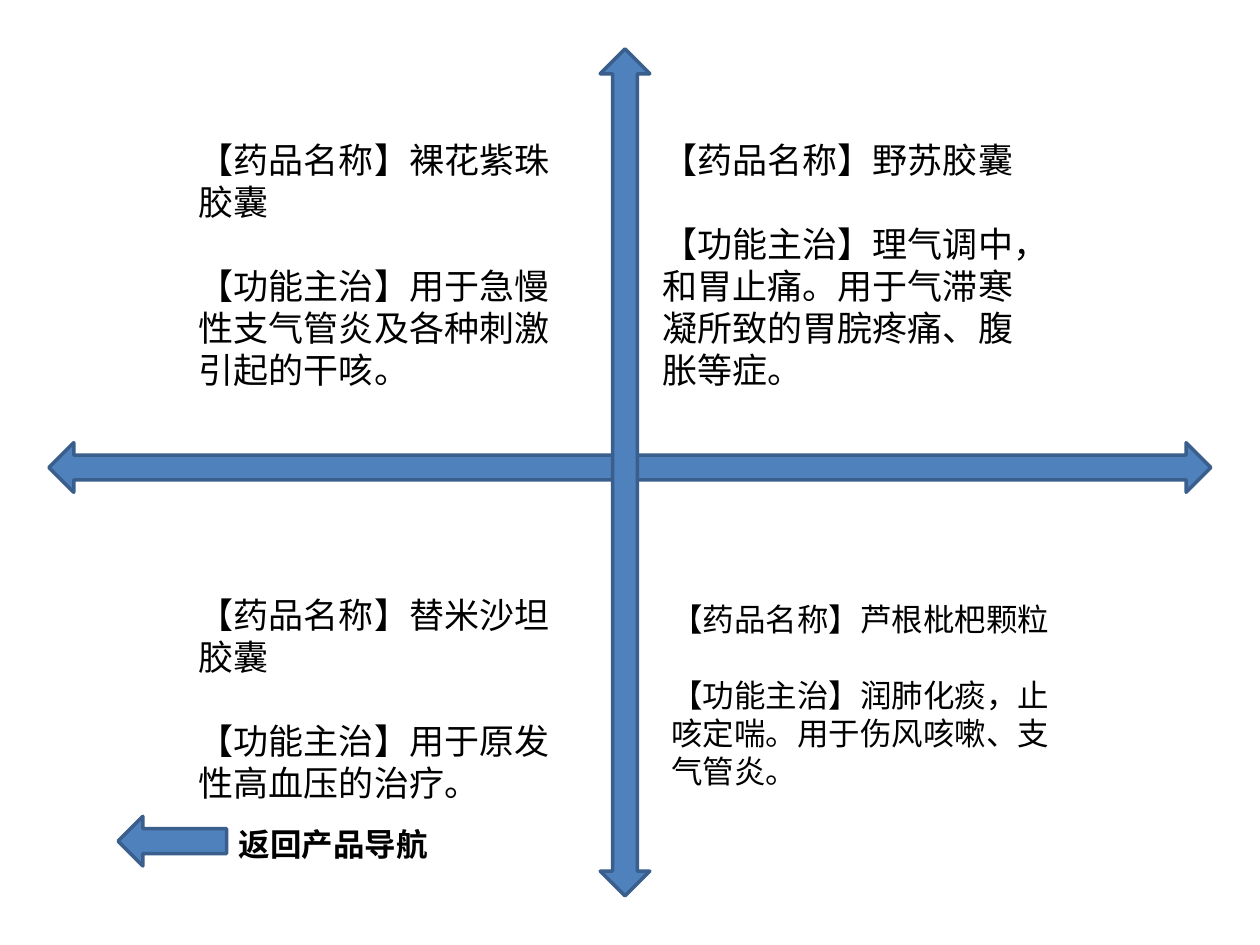
from lxml import etree
from pptx import Presentation
from pptx.dml.color import RGBColor as Rgb
from pptx.enum.shapes import MSO_SHAPE as Shape
from pptx.oxml.ns import qn
from pptx.util import Pt

COLORS = {"fill": "4F81BD", "line": "3A5F8C", "text": "000000"}
FONT = "Noto Sans CJK SC"
THICKNESS = 28.35


def add_arrow(slide, kind, left, top, width, height):
    """Add a filled and outlined block arrow."""
    arrow = slide.shapes.add_shape(kind, Pt(left), Pt(top), Pt(width), Pt(height))
    arrow.shadow.inherit = False
    arrow.fill.solid()
    arrow.fill.fore_color.rgb = Rgb.from_string(COLORS["fill"])
    arrow.line.color.rgb = Rgb.from_string(COLORS["line"])
    arrow.line.width = Pt(2)


def add_text(slide, lines, left, top, width, height, *, size=20, bold=False):
    """Add a wrapped text box with one line of space between its paragraphs."""
    box = slide.shapes.add_textbox(Pt(left), Pt(top), Pt(width), Pt(height))
    frame = box.text_frame
    frame.word_wrap = True
    frame.margin_top = Pt(5.6)
    for index, line in enumerate(lines):
        para = frame.add_paragraph() if index else frame.paragraphs[0]
        para.line_spacing = Pt(size * 1.2)
        if index:
            para.space_before = Pt(size * 1.2)
        span = para.add_run()
        span.text = line
        span.font.name = FONT
        span.font.size = Pt(size)
        span.font.bold = bold
        span.font.color.rgb = Rgb.from_string(COLORS["text"])
        east_asian = etree.SubElement(span.font._element, qn("a:ea"))
        east_asian.set("typeface", FONT)


def add_medicine(slide, name, use, left, top, height, size=20):
    """Add the name and the indication of one medicine."""
    lines = [f"【药品名称】{name}", f"【功能主治】{use}"]
    add_text(slide, lines, left, top, 231, height, size=size)


def main():
    """Build the slide with four medicines around two crossing arrows."""
    deck = Presentation()
    deck.slide_width, deck.slide_height = Pt(720), Pt(540)
    slide = deck.slides.add_slide(deck.slide_layouts[6])

    add_arrow(slide, Shape.LEFT_RIGHT_ARROW, 28, 253, 664, THICKNESS)
    add_arrow(slide, Shape.UP_DOWN_ARROW, 343, 28, THICKNESS, 484)

    add_medicine(slide, "裸花紫珠胶囊", "用于急慢性支气管炎及各种刺激引起的干咳。",
                 106.5, 73.5, 177)
    add_medicine(slide, "替米沙坦胶囊", "用于原发性高血压的治疗。", 106.5, 333.5, 153)
    add_medicine(slide, "野苏胶囊",
                 "理气调中，和胃止痛。用于气滞寒凝所致的胃脘疼痛、腹胀等症。",
                 371.5, 73.5, 177)
    add_medicine(slide, "芦根枇杷颗粒", "润肺化痰，止咳定喘。用于伤风咳嗽、支气管炎。",
                 376.5, 337.5, 138, size=18)

    add_arrow(slide, Shape.LEFT_ARROW, 67.5, 466.5, 62, THICKNESS)
    add_text(slide, ["返回产品导航"], 129.5, 466, 124, 29, size=18, bold=True)
    deck.save("out.pptx")


if __name__ == "__main__":
    main()
